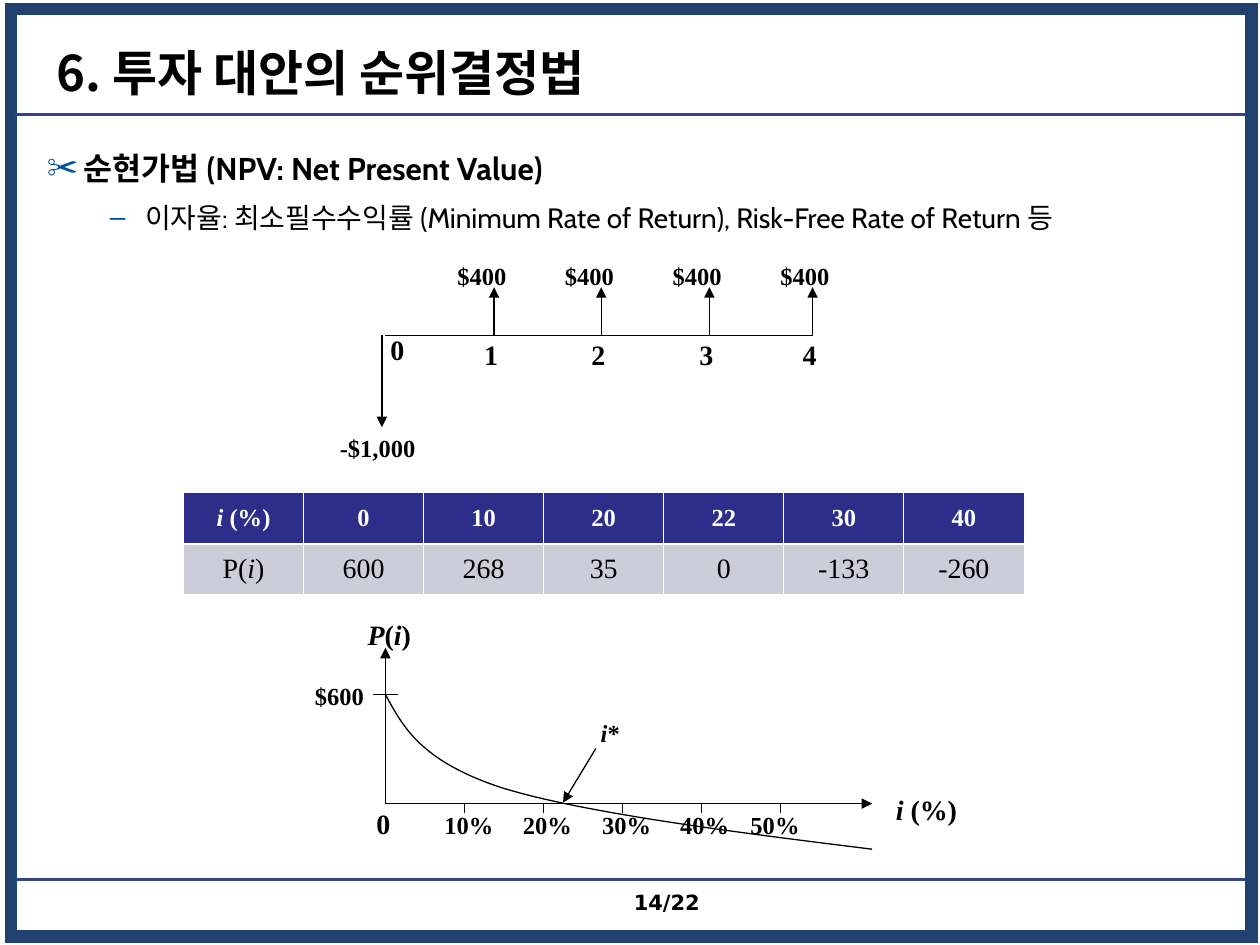
from pptx import Presentation
from pptx.dml.color import RGBColor
from pptx.enum.shapes import MSO_CONNECTOR as Link, MSO_SHAPE as Kind
from pptx.enum.text import MSO_ANCHOR as Anchor, MSO_AUTO_SIZE as Fit, PP_ALIGN as Align
from pptx.oxml.ns import qn
from pptx.util import Cm, Pt
from lxml.etree import SubElement as Sub

INK = {"frame": "214171", "rule": "314486", "text": "000000", "mark": "0051A2",
       "head": "2D2D8A", "row": "CDCDDA", "white": "FFFFFF"}
SERIF, SANS, KOREAN = "Times New Roman", "Cabin", "Noto Sans CJK KR"


def rgb(name):
    """Return the named colour."""
    return RGBColor.from_string(INK[name])


def write(para, text, size=14, font=SERIF, bold=True, color="text", align=Align.LEFT):
    """Fill a paragraph, with the parts between underscores in italics."""
    para.alignment = align
    for n, part in enumerate(text.split("_")):
        if part:
            run = para.add_run()
            run.text = part
            face = run.font
            face.size, face.name, face.bold = Pt(size), font, bold
            face.italic = n % 2 == 1
            face.color.rgb = rgb(color)
            Sub(run._r.get_or_add_rPr(), qn("a:ea"), typeface=KOREAN)


def label(slide, text, x, y, w, h=0.86, **form):
    """Add a one-line text box."""
    box = slide.shapes.add_textbox(Cm(x), Cm(y), Cm(w), Cm(h))
    box.text_frame.word_wrap = False
    write(box.text_frame.paragraphs[0], text, **form)


def line(slide, x1, y1, x2, y2, color="text", width=0.75, arrow=False):
    """Add a straight line, with an arrowhead at its end if asked."""
    link = slide.shapes.add_connector(Link.STRAIGHT, Cm(x1), Cm(y1), Cm(x2), Cm(y2))
    link.line.color.rgb = rgb(color)
    link.line.width = Pt(width)
    if arrow:
        Sub(link.line._get_or_add_ln(), qn("a:tailEnd"), type="triangle")
    Sub(link._element.spPr, qn("a:effectLst"))


def place(shape, box):
    """Move a shape to a box."""
    shape.left, shape.top, shape.width, shape.height = map(Cm, box)


def border(slide, box):
    """Draw the frame, its two rules and the page number."""
    x, y, w, h = box
    rect = slide.shapes.add_shape(Kind.RECTANGLE, *map(Cm, box))
    rect.shadow.inherit = False
    rect.fill.background()
    rect.line.color.rgb = rgb("frame")
    rect.line.width = Pt(7)
    Sub(rect.line._get_or_add_ln(), qn("a:miter"), lim="800000")
    for gap in (2.13, 17.55):
        line(slide, x + 0.08, y + gap, x + w - 0.13, y + gap, color="rule", width=2)
    label(slide, "14/22", x + 10.8, y + 17.63, 3.33, size=12,
          font="DejaVu Sans", align=Align.RIGHT)


def title(slide, box):
    """Fill the title."""
    shape = slide.shapes.title
    place(shape, box)
    frame = shape.text_frame
    frame.auto_size, frame.vertical_anchor = Fit.NONE, Anchor.MIDDLE
    write(frame.paragraphs[0], "6. 투자 대안의 순위결정법", size=28, font=KOREAN)


def points(slide, box):
    """Fill the list with its two levels."""
    shape = slide.placeholders[1]
    place(shape, box)
    frame = shape.text_frame
    frame.auto_size = Fit.NONE
    rows = [("순현가법 (NPV: Net Present Value)", "✂", 0.74, -0.74, 18, 0),
            ("이자율: 최소필수수익률 (Minimum Rate of Return), "
             "Risk-Free Rate of Return 등", "–", 1.98, -0.71, 16, 4)]
    for level, (text, mark, left, hang, size, gap) in enumerate(rows):
        para = frame.add_paragraph() if level else frame.paragraphs[0]
        para.level = level
        props = para._p.get_or_add_pPr()
        props.set("marL", str(Cm(left)))
        props.set("indent", str(Cm(hang)))
        Sub(Sub(props, qn("a:buClr")), qn("a:srgbClr"), val=INK["mark"])
        Sub(props, qn("a:buChar"), char=mark)
        para.line_spacing, para.space_before = 1.2, Pt(gap)
        write(para, text, size=size, font=SANS, bold=level == 0)


def cash(slide, box):
    """Draw the cash flow diagram."""
    x, y, w, h = box
    base = y + 1.63
    line(slide, x + 1.17, base, x + 9.78, base)
    line(slide, x + 1.1, base, x + 1.1, y + 3.48, arrow=True)
    label(slide, "-$1,000", x, y + 3.48, 2.2)
    label(slide, "0", x + 1.02, y + 1.45, 0.9, size=16)
    for n, at in enumerate((3.36, 5.52, 7.7, 9.78)):
        line(slide, x + at, base, x + at, y + 0.66, arrow=True)
        label(slide, "$400", x + 2.37 + 2.17 * n, y, 1.7)
        label(slide, str(n + 1), x + at - 0.45, y + 1.55, 0.9, size=16)


def edge(cell, side, width):
    """Give one side of a cell a white line."""
    ln = Sub(cell._tc.get_or_add_tcPr(), qn("a:ln" + side), w=str(Pt(width)))
    Sub(Sub(ln, qn("a:solidFill")), qn("a:srgbClr"), val=INK["white"])


def values(slide, box):
    """Add the table of present values."""
    rows = [("_i_ (%)", "0", "10", "20", "22", "30", "40"),
            ("P(_i_)", "600", "268", "35", "0", "-133", "-260")]
    looks = [dict(size=14, color="white"), dict(size=16, bold=False)]
    grid = slide.shapes.add_table(2, len(rows[0]), *map(Cm, box)).table
    for r, (row, look) in enumerate(zip(rows, looks)):
        for c, text in enumerate(row):
            cell = grid.cell(r, c)
            for side in "LRTB":
                edge(cell, side, 1.47 if side == "BT"[r] else 0.45)
            cell.fill.solid()
            cell.fill.fore_color.rgb = rgb(("head", "row")[r])
            cell.vertical_anchor = Anchor.MIDDLE
            write(cell.text_frame.paragraphs[0], text, align=Align.CENTER, **look)


def bend(a, b, c, d, steps=24):
    """Return points along a cubic curve, without its start."""
    ts = [n / steps for n in range(1, steps + 1)]
    return [tuple((1 - t) ** 3 * p + 3 * t * (1 - t) ** 2 * q + 3 * t * t * (1 - t) * r
                  + t ** 3 * s for p, q, r, s in zip(a, b, c, d)) for t in ts]


def graph(slide, box):
    """Draw the graph of present value against rate."""
    x, y, w, h = box
    left, base = x + 1.67, y + 3.88
    line(slide, left, base, x + 11.48, base, arrow=True)
    line(slide, left, base, left, y + 0.74, arrow=True)
    line(slide, x + 1.42, y + 1.68, x + 1.93, y + 1.68)
    line(slide, x + 5.91, y + 2.77, x + 5.25, y + 3.86, arrow=True)
    for text, dx, dy, wide, size in (
            ("_i_ (%)", 11.71, 3.53, 2.1, 16), ("_P_(_i_)", 1.06, 0, 1.7, 16),
            ("0", 1.24, 3.81, 0.9, 16), ("$600", 0, 1.29, 1.7, 14),
            ("_i_*", 5.76, 2.03, 1.1, 14)):
        label(slide, text, x + dx, y + dy, wide, size=size)
    for n, at in enumerate((2.61, 4.19, 5.79, 7.36, 8.78)):
        tick = x + 3.27 + 1.59 * n
        line(slide, tick, base, tick, base + 0.2)
        label(slide, f"{10 * (n + 1)}%", x + at, base, 1.7)
    knots = [(1.67, 1.68), (2.03, 2.34), (2.38, 3.02), (4.01, 3.56),
             (5.63, 4.06), (8.56, 4.44), (11.48, 4.8)]
    dots = [(Cm(x + u), Cm(y + v))
            for u, v in knots[:1] + bend(*knots[:4]) + bend(*knots[3:])]
    pen = slide.shapes.build_freeform(*dots[0])
    pen.add_line_segments(dots[1:], close=False)
    curve = pen.convert_to_shape()
    curve.shadow.inherit = False
    curve.fill.background()
    curve.line.color.rgb = rgb("text")
    curve.line.width = Pt(0.75)


def main():
    """Build the slide and save it."""
    deck = Presentation()
    deck.slide_width, deck.slide_height = Cm(25.4), Cm(19.05)
    slide = deck.slides.add_slide(deck.slide_layouts[1])
    border(slide, (0.23, 0.18, 25, 18.7))
    title(slide, (0.89, 0.76, 24, 1.37))
    points(slide, (0.69, 2.72, 24.2, 14.4))
    cash(slide, (6.6, 5.13, 10.36, 4.34))
    values(slide, (3.7, 9.93, 16.94, 2.06))
    graph(slide, (6.1, 12.32, 13.81, 4.8))
    deck.save("out.pptx")


if __name__ == "__main__":
    main()
